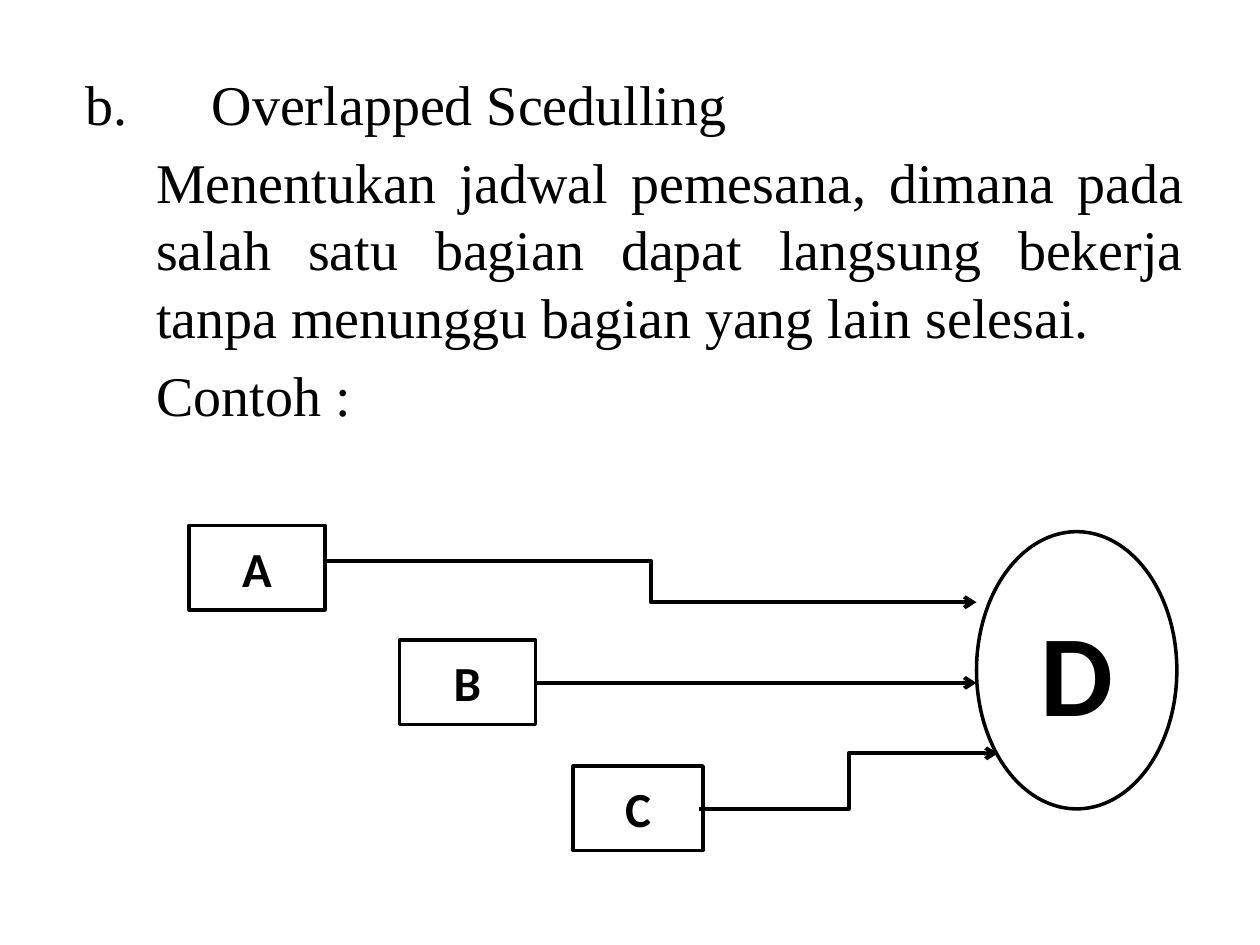
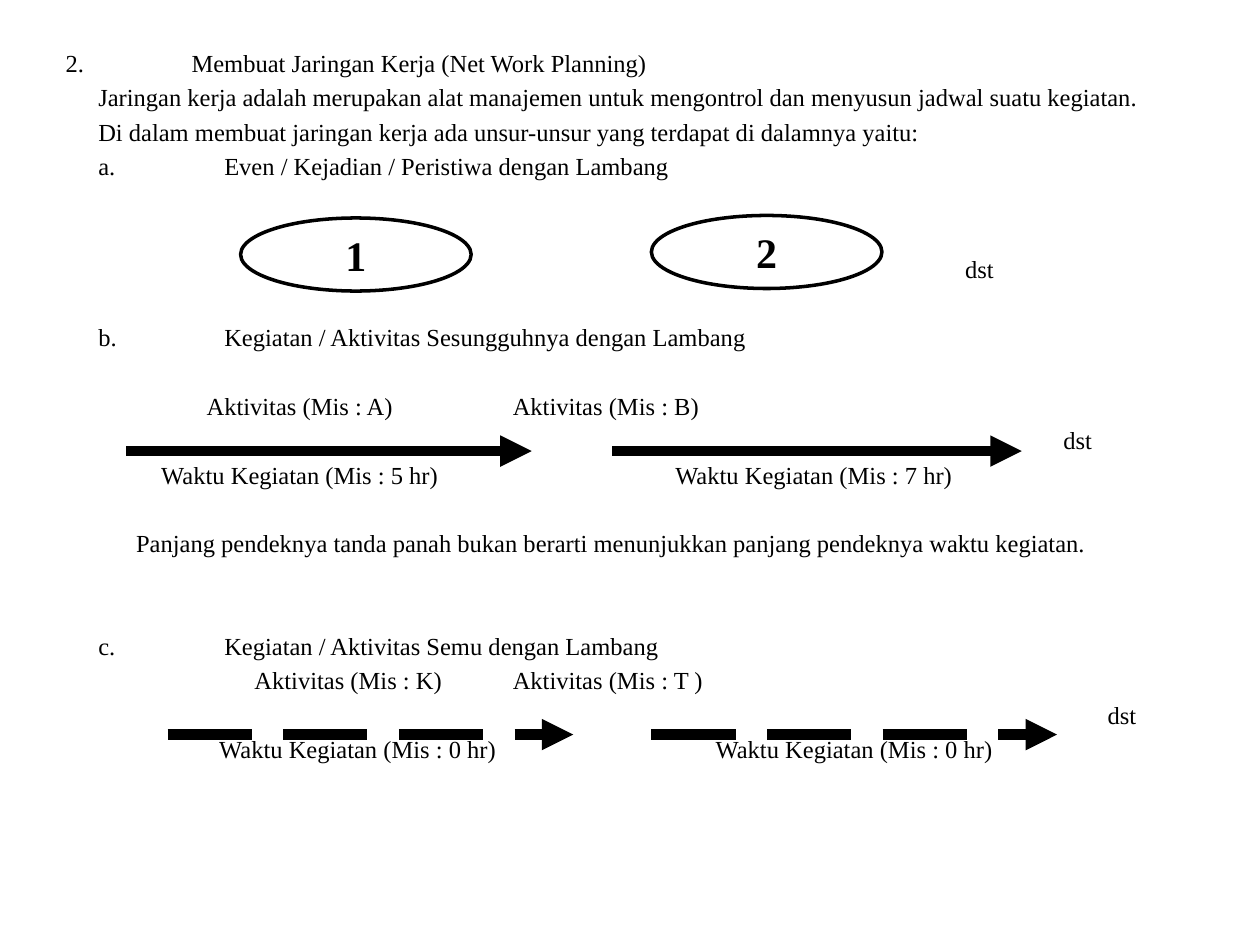
from lxml.etree import SubElement
from pptx import Presentation
from pptx.dml.color import RGBColor
from pptx.enum.dml import MSO_LINE
from pptx.enum.shapes import MSO_CONNECTOR as LINK, MSO_SHAPE as SHAPE
from pptx.enum.text import MSO_ANCHOR, MSO_AUTO_SIZE, PP_ALIGN
from pptx.oxml.ns import qn
from pptx.util import Inches, Pt

COLORS = {"ink": "000000", "paper": "FFFFFF"}
SERIF, SANS = "Times New Roman", "Calibri"
LINE_FACTOR, GAP_FACTOR = 1.2, 0.2
INSET_TOP = 0.05

SCHEDULING = {
    "box": (0.58, 0.5, 8.92, 6.67),
    "size": 32,
    "rows": [
        (0, 0, "b.\tOverlapped Scedulling"),
        (1, 0.56, "Menentukan jadwal pemesana, dimana pada salah satu bagian "
                  "dapat langsung bekerja tanpa menunggu bagian yang lain selesai."),
        (2, 0.56, "Contoh :"),
    ],
}
STAGES = [
    ("A", SHAPE.RECTANGLE, (1.5, 4.17, 1.08, 0.67), 28),
    ("B", SHAPE.RECTANGLE, (3.17, 5.08, 1.08, 0.67), 28),
    ("C", SHAPE.RECTANGLE, (4.55, 6.08, 1.03, 0.67), 28),
]
GOAL = ("D", SHAPE.OVAL, (7.75, 4.22, 1.59, 2.2), 66)
FLOWS = [
    (LINK.ELBOW, (2.58, 4.45), (7.75, 4.78)),
    (LINK.ELBOW, (5.55, 6.42), (7.92, 5.98)),
    (LINK.STRAIGHT, (4.25, 5.42), (7.75, 5.42)),
]

NETWORK = {
    "box": (0.42, 0.33, 9, 7),
    "size": 14,
    "rows": [
        (0, 0, "2.\tMembuat Jaringan Kerja (Net Work Planning)"),
        (1, 0.26, "Jaringan kerja adalah merupakan alat manajemen untuk mengontrol "
                  "dan menyusun jadwal suatu kegiatan."),
        (2, 0.26, "Di dalam membuat jaringan kerja ada unsur-unsur yang terdapat "
                  "di dalamnya yaitu:"),
        (3, 0.26, "a.\tEven / Kejadian / Peristiwa dengan Lambang"),
        (8, 0.26, "b.\tKegiatan / Aktivitas Sesungguhnya dengan Lambang"),
        (14, 0.56, "Panjang pendeknya tanda panah bukan berarti menunjukkan "
                   "panjang pendeknya waktu kegiatan."),
        (17, 0.26, "c.\tKegiatan / Aktivitas Semu dengan Lambang"),
    ],
}
SYMBOL_LABELS = [
    (6, 7.66, "dst"),
    (10, 1.64, "Aktivitas (Mis : A)"),
    (10, 4.07, "Aktivitas (Mis : B)"),
    (11, 8.44, "dst"),
    (12, 1.28, "Waktu Kegiatan (Mis : 5 hr)"),
    (12, 5.36, "Waktu Kegiatan (Mis : 7 hr)"),
    (18, 2.02, "Aktivitas (Mis : K)"),
    (18, 4.07, "Aktivitas (Mis : T )"),
    (19, 8.79, "dst"),
    (20, 1.74, "Waktu Kegiatan (Mis : 0 hr)"),
    (20, 5.68, "Waktu Kegiatan (Mis : 0 hr)"),
]
EVENTS = [
    ("1", SHAPE.OVAL, (1.91, 1.73, 1.83, 0.58), 24),
    ("2", SHAPE.OVAL, (5.17, 1.71, 1.83, 0.58), 24),
]
ACTIVITIES = [
    (3.58, 1, 4.22, None),
    (3.58, 4.86, 8.11, None),
    (5.83, 1.33, 4.55, MSO_LINE.LONG_DASH),
    (5.83, 5.17, 8.39, MSO_LINE.LONG_DASH),
]


def color(name):
    return RGBColor.from_string(COLORS[name])


def add_run(paragraph, text, size, font=SERIF, bold=False):
    run = paragraph.add_run()
    run.text = text
    run.font.size = Pt(size)
    run.font.name = font
    run.font.bold = bold
    run.font.color.rgb = color("ink")


def row_pitch(size):
    return size * (LINE_FACTOR + GAP_FACTOR)


def add_body_slide(deck, content):
    slide = deck.slides.add_slide(deck.slide_layouts[0])
    title = slide.shapes.title.element
    title.getparent().remove(title)
    body = slide.placeholders[1]
    body.left, body.top, body.width, body.height = map(Inches, content["box"])
    frame = body.text_frame
    frame.word_wrap = True
    frame.auto_size = MSO_AUTO_SIZE.NONE
    frame.vertical_anchor = MSO_ANCHOR.TOP
    size, previous = content["size"], 0
    for index, (row, indent, text) in enumerate(content["rows"]):
        paragraph = frame.add_paragraph() if index else frame.paragraphs[0]
        paragraph.alignment = PP_ALIGN.JUSTIFY
        paragraph.line_spacing = Pt(size * LINE_FACTOR)
        skipped = max(row - previous - 1, 0)
        gap = size * GAP_FACTOR if index else 0
        paragraph.space_before = Pt(gap + skipped * row_pitch(size))
        properties = paragraph._p.get_or_add_pPr()
        properties.set("marL", str(Inches(indent)))
        properties.set("indent", "0")
        properties.set("defTabSz", str(Inches(1)))
        add_run(paragraph, text, size)
        previous = row
    return slide


def add_label(slide, content, row, left, text):
    size = content["size"]
    top = content["box"][1] + INSET_TOP + row * row_pitch(size) / 72
    label = slide.shapes.add_textbox(Inches(left), Inches(top), Inches(2.6), Inches(0.25))
    frame = label.text_frame
    frame.margin_left = frame.margin_right = frame.margin_top = frame.margin_bottom = 0
    frame.word_wrap = True
    paragraph = frame.paragraphs[0]
    paragraph.line_spacing = Pt(size * LINE_FACTOR)
    add_run(paragraph, text, size)


def add_node(slide, text, kind, box, size, font):
    node = slide.shapes.add_shape(kind, *map(Inches, box))
    node.shadow.inherit = False
    node.fill.solid()
    node.fill.fore_color.rgb = color("paper")
    node.line.color.rgb = color("ink")
    node.line.width = Pt(2)
    node.text_frame.vertical_anchor = MSO_ANCHOR.MIDDLE
    paragraph = node.text_frame.paragraphs[0]
    paragraph.alignment = PP_ALIGN.CENTER
    add_run(paragraph, text, size, font, True)


def add_arrow(slide, kind, start, end, width, head, dash=None):
    arrow = slide.shapes.add_connector(kind, *map(Inches, start + end))
    arrow.line.color.rgb = color("ink")
    arrow.line.width = Pt(width)
    if dash:
        arrow.line.dash_style = dash
    properties = arrow.element.spPr
    SubElement(properties.find(qn("a:ln")), qn("a:tailEnd"), type=head)
    SubElement(properties, qn("a:effectLst"))


deck = Presentation()
deck.slide_width, deck.slide_height = Inches(10), Inches(7.5)

scheduling = add_body_slide(deck, SCHEDULING)
for stage in STAGES:
    add_node(scheduling, *stage, SANS)
for kind, start, end in FLOWS:
    add_arrow(scheduling, kind, start, end, 2.25, "arrow")
add_node(scheduling, *GOAL, SANS)

network = add_body_slide(deck, NETWORK)
for symbol_label in SYMBOL_LABELS:
    add_label(network, NETWORK, *symbol_label)
for event in EVENTS:
    add_node(network, *event, SERIF)
for height, left, right, dash in ACTIVITIES:
    add_arrow(network, LINK.STRAIGHT, (left, height), (right, height), 6, "triangle", dash)

deck.save("out.pptx")
